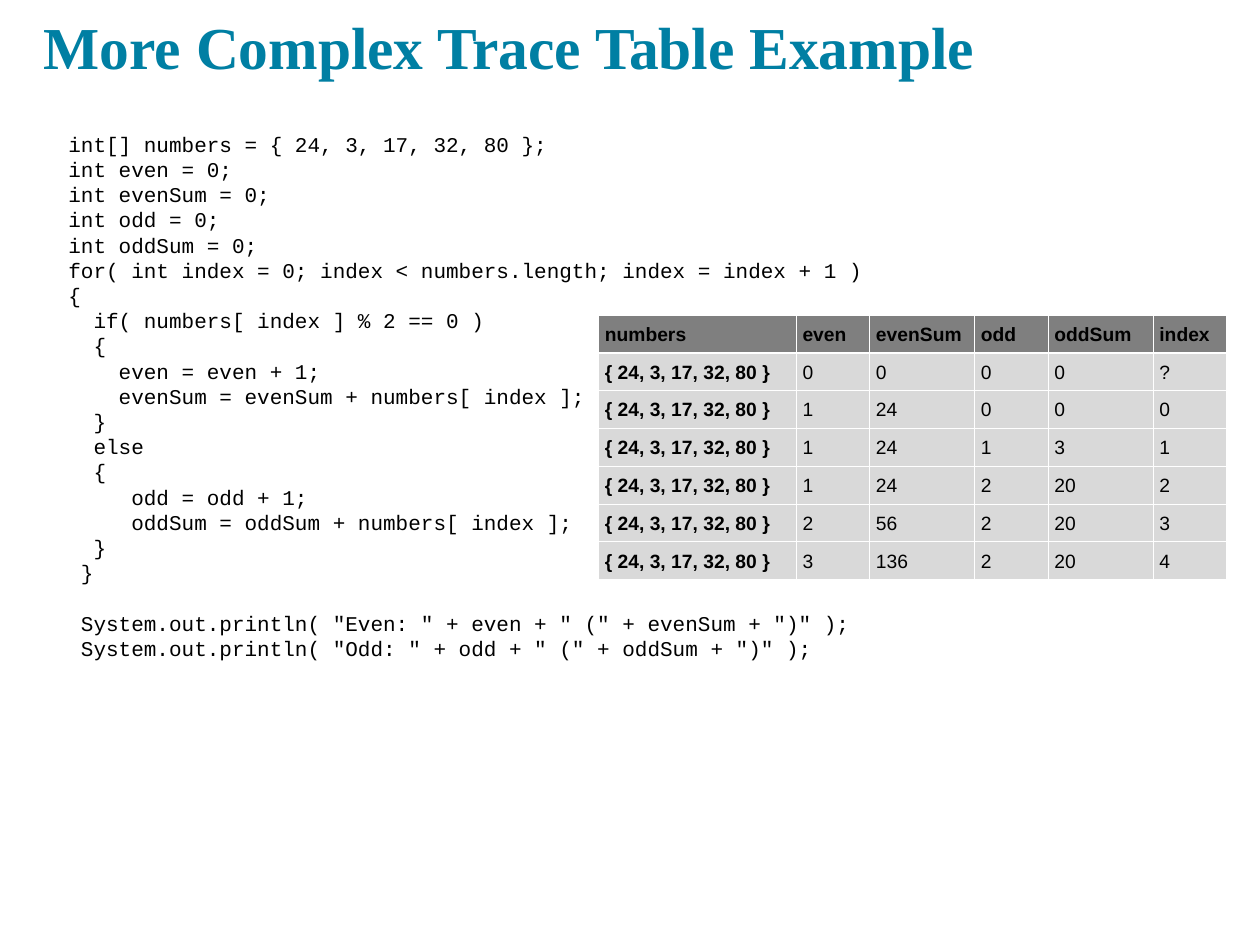
"""Build a slide that pairs a Java listing with its trace table."""
from dataclasses import dataclass

from lxml import etree
from pptx import Presentation
from pptx import util as u
from pptx.dml import color
from pptx.enum import text
from pptx.oxml import ns

Pt = u.Pt


@dataclass(frozen=True)
class Theme:
    title_font: str = "Times New Roman"
    code_font: str = "Courier New"
    table_font: str = "Arial"
    title_size: float = 34
    code_size: float = 12
    table_size: float = 11
    title: str = "007FA3"
    ink: str = "000000"
    header: str = "7F7F7F"
    body: str = "D9D9D9"
    rule: str = "FFFFFF"


THEME = Theme()
CODE_PITCH = 14.4
CODE_BLOCKS = [
    """int[] numbers = { 24, 3, 17, 32, 80 };
int even = 0;
int evenSum = 0;
int odd = 0;
int oddSum = 0;
for( int index = 0; index < numbers.length; index = index + 1 )
{
  if( numbers[ index ] % 2 == 0 )
  {
    even = even + 1;
    evenSum = evenSum + numbers[ index ];
  }
  else
  {
     odd = odd + 1;
     oddSum = oddSum + numbers[ index ];
  }
 }""",
    """ System.out.println( "Even: " + even + " (" + evenSum + ")" );
 System.out.println( "Odd: " + odd + " (" + oddSum + ")" );""",
]
NUMBERS = "{ 24, 3, 17, 32, 80 }"
HEADINGS = ["numbers", "even", "evenSum", "odd", "oddSum", "index"]
STEPS = [
    (0, 0, 0, 0, "?"),
    (1, 24, 0, 0, 0),
    (1, 24, 1, 3, 1),
    (1, 24, 2, 20, 2),
    (2, 56, 2, 20, 3),
    (3, 136, 2, 20, 4),
]
COL_WIDTHS = [113, 42, 60, 42, 60, 42]
ROW_HEIGHT = 21.6


def add_run(p, content, font, size, rgb, bold=False):
    r = p.add_run()
    r.text = content
    r.font.name = font
    r.font.size = Pt(size)
    r.font.bold = bold
    r.font.color.rgb = color.RGBColor.from_string(rgb)


def add_box(s, left, top, width, height, inset_top=7.2):
    tf = s.shapes.add_textbox(Pt(left), Pt(top), Pt(width), Pt(height)).text_frame
    tf.word_wrap = True
    tf.margin_left = tf.margin_right = tf.margin_bottom = Pt(7.2)
    tf.margin_top = Pt(inset_top)
    return tf


def add_title(s, content):
    tf = add_box(s, 18, 6, 648, 47.5)
    tf.vertical_anchor = text.MSO_ANCHOR.BOTTOM
    add_run(tf.paragraphs[0], content, THEME.title_font, THEME.title_size,
            THEME.title, True)


def add_code(s, blocks):
    tf = add_box(s, 24, 54, 684, 450, inset_top=21)
    for b, block in enumerate(blocks):
        for i, line in enumerate(block.split("\n")):
            p = tf.add_paragraph() if b or i else tf.paragraphs[0]
            p.line_spacing = Pt(CODE_PITCH)
            p.space_before = Pt(CODE_PITCH if b and not i else 0)
            p._p.get_or_add_pPr().set("marL", str(Pt(8)))
            add_run(p, line, THEME.code_font, THEME.code_size, THEME.ink)


def set_borders(cell, widths):
    tc_pr = cell._tc.get_or_add_tcPr()
    for side, width in widths.items():
        ln = etree.SubElement(tc_pr, ns.qn(f"a:ln{side}"), w=str(Pt(width)))
        fill = etree.SubElement(ln, ns.qn("a:solidFill"))
        etree.SubElement(fill, ns.qn("a:srgbClr"), val=THEME.rule)


def fill_cell(cell, content, row, col):
    thin, thick = 0.45, 1.47
    set_borders(cell, {"L": thin, "R": thin,
                       "T": thick if row == 1 else thin,
                       "B": thick if row == 0 else thin})
    cell.fill.solid()
    cell.fill.fore_color.rgb = color.RGBColor.from_string(
        THEME.body if row else THEME.header)
    cell.vertical_anchor = text.MSO_ANCHOR.MIDDLE
    cell.margin_left = cell.margin_right = Pt(3.6)
    cell.margin_top = cell.margin_bottom = Pt(3.6)
    p = cell.text_frame.paragraphs[0]
    p.line_spacing = 1.07
    add_run(p, str(content), THEME.table_font, THEME.table_size, THEME.ink,
            row == 0 or col == 0)


def add_trace(s, rows):
    table = s.shapes.add_table(
        len(rows), len(COL_WIDTHS), Pt(342), Pt(180),
        Pt(sum(COL_WIDTHS)), Pt(ROW_HEIGHT * len(rows))).table
    table.horz_banding = False
    for column, width in zip(table.columns, COL_WIDTHS):
        column.width = Pt(width)
    for i, values in enumerate(rows):
        table.rows[i].height = Pt(ROW_HEIGHT)
        for j, value in enumerate(values):
            fill_cell(table.cell(i, j), value, i, j)


def main():
    prs = Presentation()
    prs.slide_width, prs.slide_height = Pt(720), Pt(540)
    s = prs.slides.add_slide(prs.slide_layouts[6])
    add_title(s, "More Complex Trace Table Example")
    add_code(s, CODE_BLOCKS)
    add_trace(s, [HEADINGS] + [(NUMBERS, *step) for step in STEPS])
    prs.save("out.pptx")


if __name__ == "__main__":
    main()
